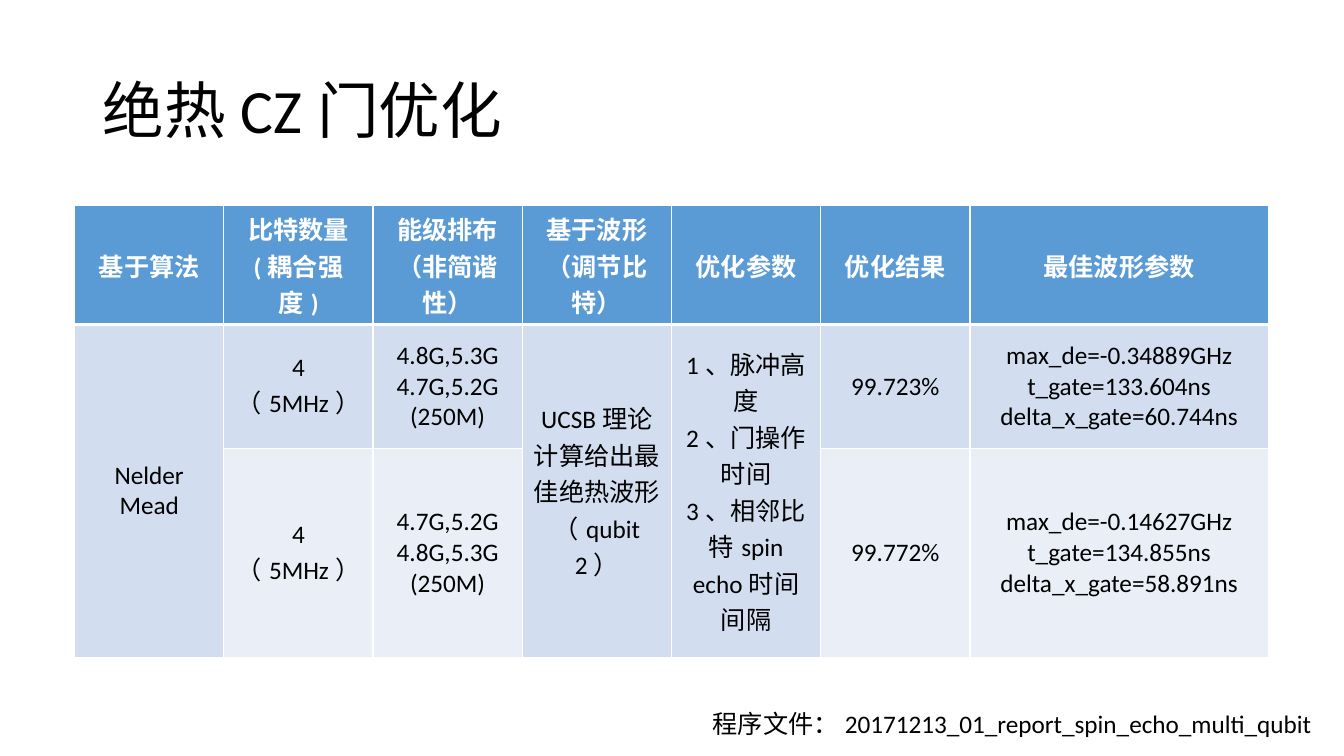
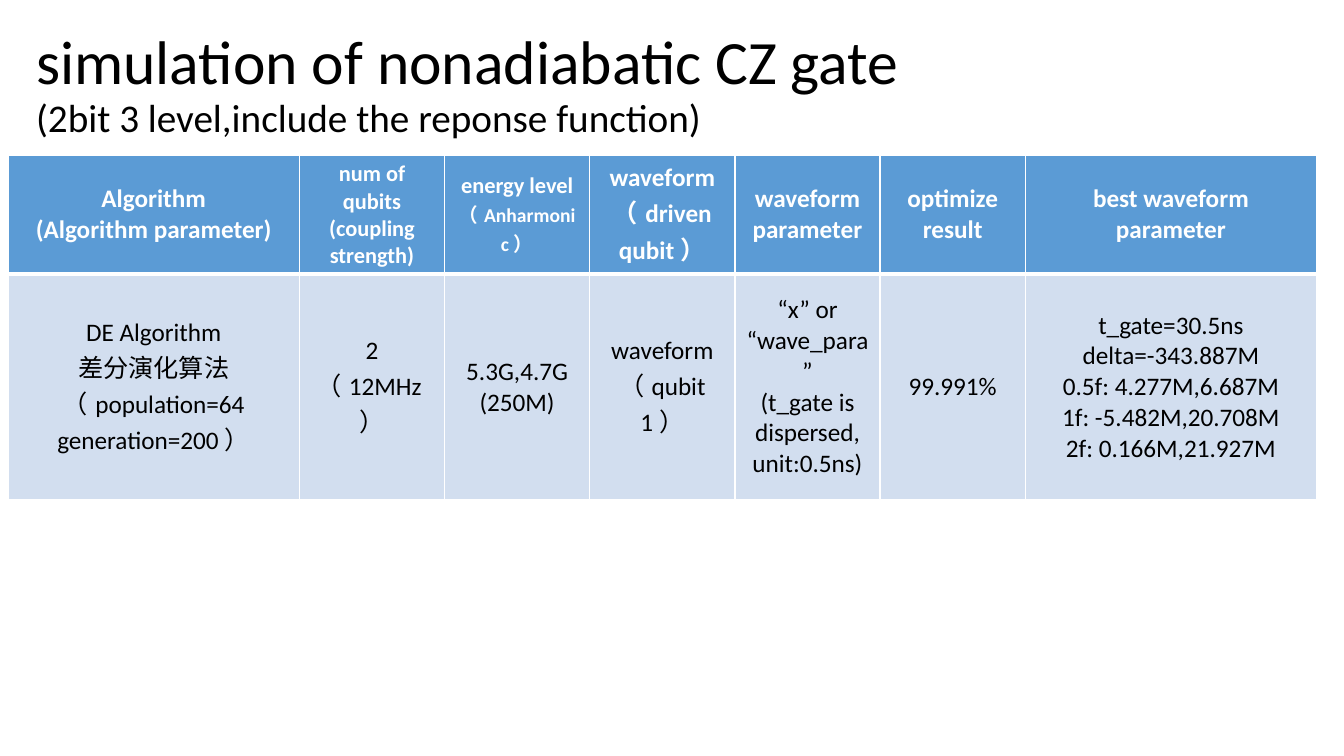
from lxml.etree import SubElement as Sub
from pptx import Presentation
from pptx.dml.color import RGBColor as RGB
from pptx.enum.text import MSO_ANCHOR as Anchor, MSO_AUTO_SIZE as Auto, PP_ALIGN as Align
from pptx.oxml.ns import qn
from pptx.util import Inches, Pt

FONT = "Calibri"
BLACK, WHITE, HEAD = "000000", "FFFFFF", "5B9BD5"
BANDS = ["D2DEEF", "EAEFF7"]

# Content: \n starts a paragraph, \v breaks a line, None joins the cell above
SLIDES = [
    {
        "title": "绝热CZ门优化", "sizes": [44], "at": (0.92, 0.4),
        "table": (0.74, 2.04),
        "cols": [1.48] * 6 + [2.96],
        "rows": [1.18, 1.23, 2.07],
        "cells": [
            ["基于算法", "比特数量\n(耦合强度)", "能级排布\n（非简谐性）", "基于波形\n（调节比特）",
             "优化参数", "优化结果", "最佳波形参数"],
            ["Nelder Mead", "4\n（5MHz）", "4.8G,5.3G\n4.7G,5.2G\n(250M)",
             "UCSB理论计算给出最佳绝热波形\n（qubit 2）",
             "1、脉冲高度\n2、门操作时间\n3、相邻比特spin echo时间间隔", "99.723%",
             "max_de=-0.34889GHz\nt_gate=133.604ns\ndelta_x_gate=60.744ns"],
            [None, "4\n（5MHz）", "4.7G,5.2G\n4.8G,5.3G\n(250M)", None, None, "99.772%",
             "max_de=-0.14627GHz\nt_gate=134.855ns\ndelta_x_gate=58.891ns"],
        ],
        "note": "程序文件：20171213_01_report_spin_echo_multi_qubit",
    },
    {
        "title": "simulation of nonadiabatic CZ gate\v(2bit 3 level,include the reponse function)",
        "sizes": [44, 28], "at": (0.26, 0.13),
        "table": (0.08, 1.54),
        "cols": [2.89] + [1.44] * 5 + [2.89],
        "rows": [1.18, 2.24],
        "cells": [
            ["Algorithm\n(Algorithm parameter)", "num of qubits\n(coupling strength)",
             "energy level\n（Anharmonic）", "waveform\n（driven qubit）", "waveform parameter",
             "optimize\nresult", "best waveform parameter"],
            ["DE Algorithm\n差分演化算法\n（population=64\ngeneration=200）", "2\n（12MHz）",
             "5.3G,4.7G\n(250M)", "waveform\n（qubit 1）",
             "“x” or\n“wave_para”\n(t_gate is dispersed, unit:0.5ns)", "99.991%",
             "t_gate=30.5ns\ndelta=-343.887M\n0.5f: 4.277M,6.687M\n"
             "1f: -5.482M,20.708M\n2f: 0.166M,21.927M"],
        ],
    },
]
# Table text that is smaller than the usual 18 points
SMALL = {"num of qubits": 16, "(coupling strength)": 16, "energy level": 16, "（Anharmonic）": 14}


def color(code):
    return RGB.from_string(code)


def style(run, size, code=BLACK, bold=False):
    font = run.font
    font.name, font.size, font.bold = FONT, Pt(size), bold
    font.color.rgb = color(code)


def add_text(slide, box, text, sizes):
    frame = slide.shapes.add_textbox(*map(Inches, box)).text_frame
    frame.word_wrap = True
    para = frame.paragraphs[0]
    para.text = text
    for run, size in zip(para.runs, sizes):
        style(run, size)
    return frame


def add_title(slide, data):
    frame = add_text(slide, (*data["at"], 11.5, 1.45), data["title"], data["sizes"])
    frame.vertical_anchor = Anchor.MIDDLE
    frame.paragraphs[0].line_spacing = 0.9


def add_edges(cell, top, bottom):
    props = cell._tc.get_or_add_tcPr()
    edges = [("a:lnL", 1), ("a:lnR", 1), ("a:lnT", top), ("a:lnB", bottom)]
    for pos, (tag, width) in enumerate(edges):
        line = Sub(props, qn(tag), w=str(Pt(width)))
        Sub(Sub(line, qn("a:solidFill")), qn("a:srgbClr"), val=WHITE)
        props.insert(pos, line)  # edges come before the fill


def fill_cell(cell, text, row):
    cell.vertical_anchor = Anchor.MIDDLE
    cell.fill.solid()
    cell.fill.fore_color.rgb = color(BANDS[(row - 1) % 2] if row else HEAD)
    add_edges(cell, 3 if row == 1 else 1, 1 if row else 3)
    if text is None:
        return
    cell.text_frame.text = text
    for para in cell.text_frame.paragraphs:
        para.alignment = Align.CENTER
        for run in para.runs:
            style(run, SMALL.get(run.text, 18), BLACK if row else WHITE, not row)


def add_grid(slide, data):
    cols, rows = data["cols"], data["rows"]
    box = map(Inches, (*data["table"], sum(cols), sum(rows)))
    table = slide.shapes.add_table(len(rows), len(cols), *box).table
    for col, width in zip(table.columns, cols):
        col.width = Inches(width)
    for row, height in zip(table.rows, rows):
        row.height = Inches(height)
    for r, texts in enumerate(data["cells"]):
        for c, text in enumerate(texts):
            fill_cell(table.cell(r, c), text, r)
            if text is None:
                table.cell(r - 1, c).merge(table.cell(r, c))


def main():
    deck = Presentation()
    deck.slide_width, deck.slide_height = Inches(13.33), Inches(7.5)
    for data in SLIDES:
        slide = deck.slides.add_slide(deck.slide_layouts[6])
        add_title(slide, data)
        add_grid(slide, data)
        if "note" in data:
            note = add_text(slide, (6.97, 6.98, 6.19, 0.4), data["note"], [18])
            note.auto_size = Auto.SHAPE_TO_FIT_TEXT
    deck.save("out.pptx")


if __name__ == "__main__":
    main()
